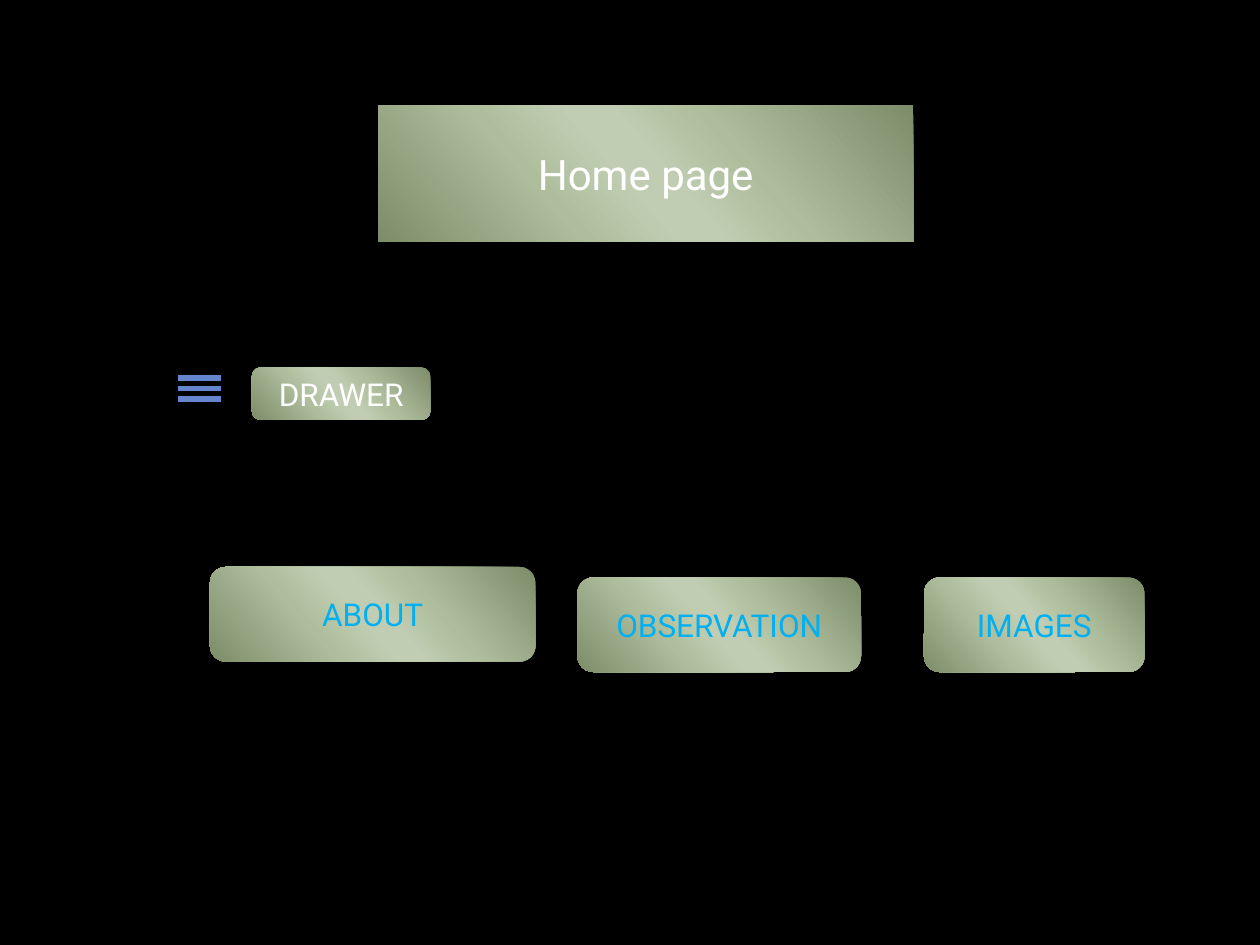
from dataclasses import dataclass

from lxml.etree import SubElement
from pptx import Presentation
from pptx.dml.color import RGBColor
from pptx.enum.shapes import MSO_CONNECTOR, MSO_SHAPE
from pptx.enum.text import MSO_ANCHOR, PP_ALIGN
from pptx.oxml.ns import qn
from pptx.util import Inches, Pt


@dataclass(frozen=True)
class Theme:
    font: str = "Roboto"
    background: str = "000000"
    light: str = "FFFFFF"
    link: str = "00B0F0"
    menu: str = "6585CF"
    sheen: tuple = ((0, "7D8D6A"), (33, "AEBD9C"), (47, "C0CDB2"),
                    (53, "C0CDB2"), (68, "AEBE9D"), (100, "7D8D6A"))
    sheen_angle: int = 360 - 139  # counter-clockwise
    title_size: int = 24
    label_size: int = 18
    menu_width: int = 3


class SlideBuilder:
    """Draws on a slide whose grid cells are a twelfth of an inch."""

    CELL = Inches(1) / 12

    def __init__(self, s, theme):
        self.s, self.theme = s, theme
        s.background.fill.solid()
        s.background.fill.fore_color.rgb = RGBColor.from_string(theme.background)

    def units(self, *cells):
        return [round(c * self.CELL) for c in cells]

    def title(self, text, *box):
        """Turn the title placeholder into a rounded box."""
        sp = self.s.shapes.title
        sp.left, sp.top, sp.width, sp.height = self.units(*box)
        geom = SubElement(sp._element.spPr, qn("a:prstGeom"),
                          prst="flowChartAlternateProcess")
        SubElement(geom, qn("a:avLst"))
        self.style_box(sp, text, self.theme.title_size, self.theme.light)

    def button(self, text, color, *box):
        sp = self.s.shapes.add_shape(
            MSO_SHAPE.FLOWCHART_ALTERNATE_PROCESS, *self.units(*box))
        sp.shadow.inherit = False
        self.style_box(sp, text, self.theme.label_size, color)

    def style_box(self, sp, text, size, color):
        sp.fill.gradient()
        sp.fill.gradient_angle = self.theme.sheen_angle
        stops = sp._element.spPr.find(".//" + qn("a:gsLst"))
        stops.clear()
        for percent, tone in self.theme.sheen:
            stop = SubElement(stops, qn("a:gs"), pos=str(percent * 1000))
            SubElement(stop, qn("a:srgbClr"), val=tone)
        sp.line.fill.background()

        tf = sp.text_frame
        tf.word_wrap = True
        tf.vertical_anchor = MSO_ANCHOR.MIDDLE
        p = tf.paragraphs[0]
        p.alignment = PP_ALIGN.CENTER
        r = p.add_run()
        r.text = text
        r.font.name = self.theme.font
        r.font.size = Pt(size)
        r.font.color.rgb = RGBColor.from_string(color)

    def menu_icon(self, left, top, width, bars=3):
        for row in range(top, top + bars):
            bar = self.s.shapes.add_connector(
                MSO_CONNECTOR.STRAIGHT, *self.units(left, row, left + width, row))
            bar.line.color.rgb = RGBColor.from_string(self.theme.menu)
            bar.line.width = Pt(self.theme.menu_width)
            SubElement(bar._element.spPr, qn("a:effectLst"))


def main():
    prs = Presentation()
    prs.slide_width, prs.slide_height = Inches(10), Inches(7.5)
    theme = Theme()
    page = SlideBuilder(prs.slides.add_slide(prs.slide_layouts[5]), theme)

    page.title("Home page", 36, 10, 51, 13)
    page.menu_icon(17, 36, 4)
    for text, left, top, width in (("ABOUT", 20, 54, 31),
                                   ("OBSERVATION", 55, 55, 27),
                                   ("IMAGES", 88, 55, 21)):
        page.button(text, theme.link, left, top, width, 9)
    page.button("DRAWER", theme.light, 24, 35, 17, 5)

    prs.save("out.pptx")


if __name__ == "__main__":
    main()
